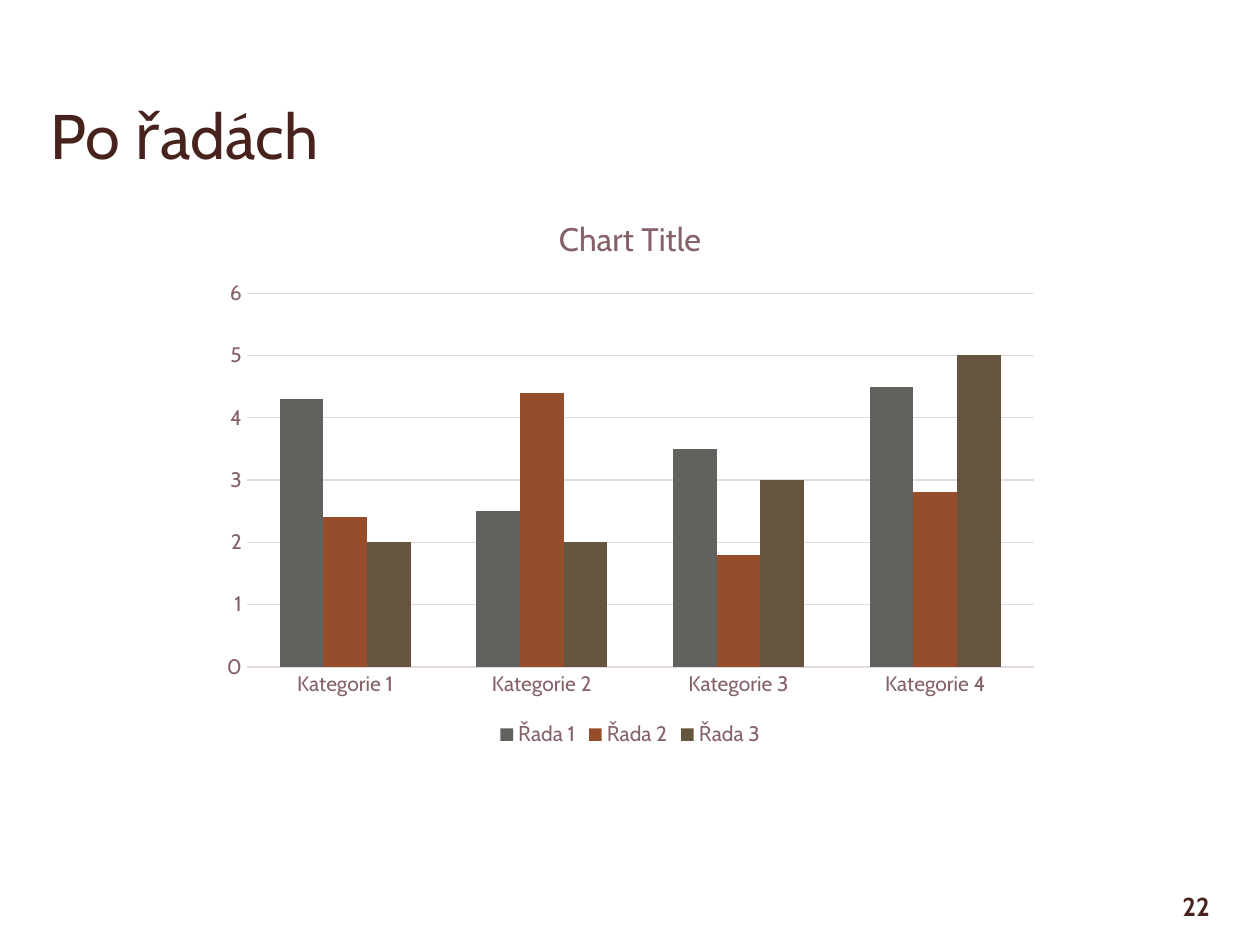
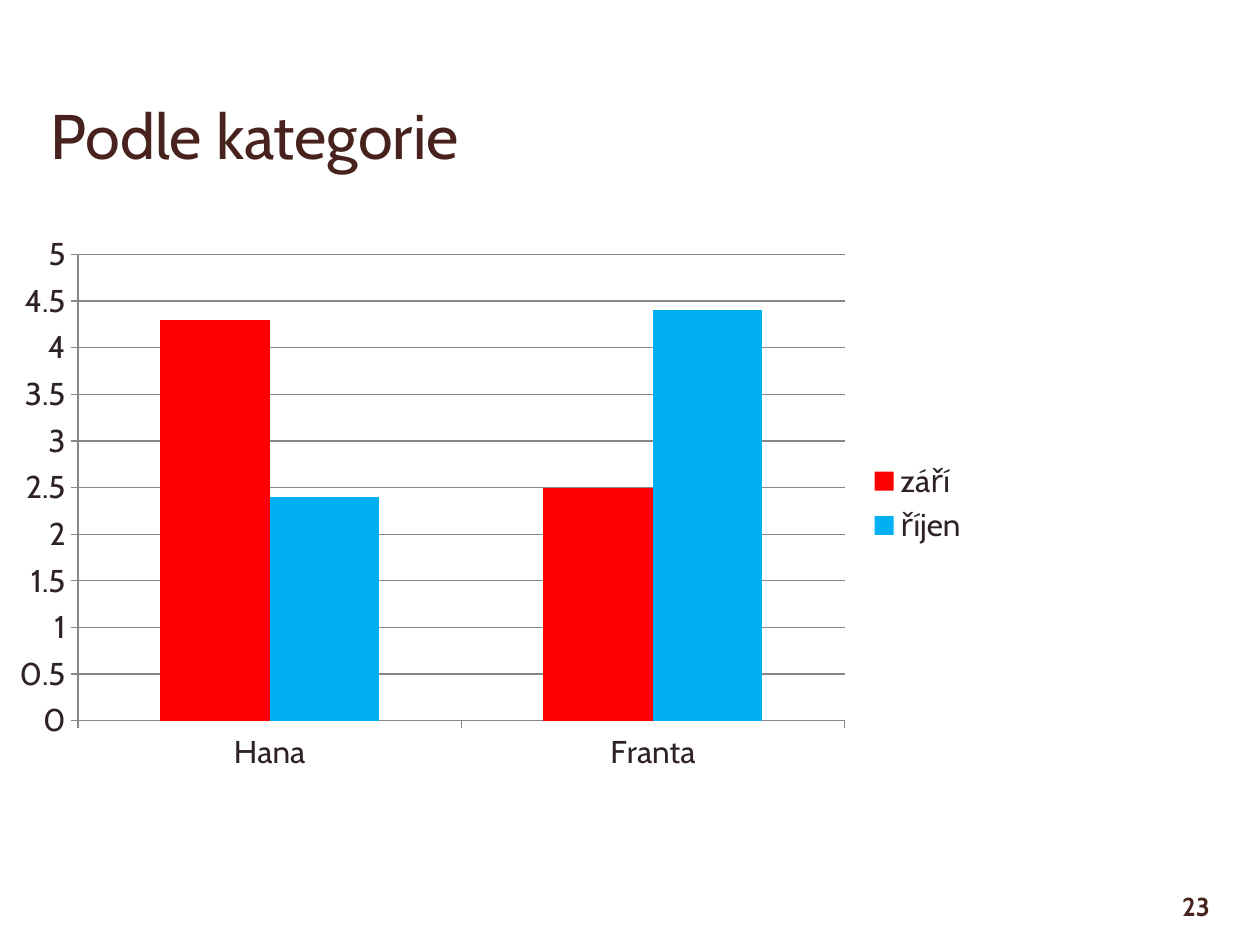
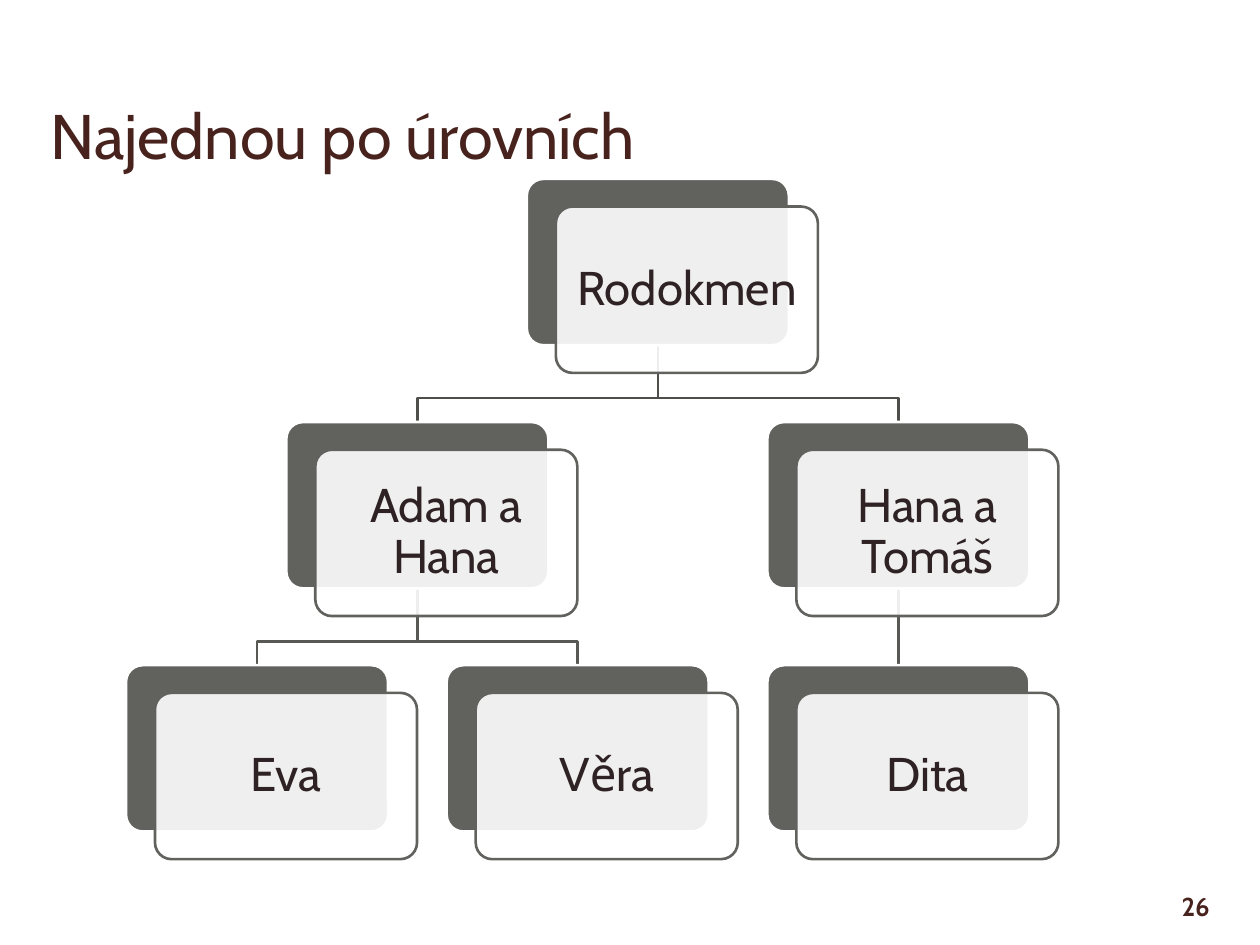
from dataclasses import dataclass
from typing import Optional

from lxml import etree
from pptx import Presentation, util as u
from pptx.chart.data import CategoryChartData
from pptx.dml.color import RGBColor
from pptx.enum import chart as ch, shapes, text
from pptx.oxml.ns import qn

SLIDE_W, SLIDE_H = u.Inches(10), u.Inches(7.5)
FONT = "Cabin"
TITLE_COLOR, INK, MUTED = "48231E", "2E2224", "856268"
GRAY, RUST, OLIVE = "61625E", "964D2C", "66553E"
PALE, AXIS_GRAY, WHITE = "E4DADC", "878787", "FFFFFF"
RED, BLUE = "FF0000", "00B0F0"
BRANCH_COLORS = ("4E4E4B", "585955")  # one for each level of parents

# Family tree, in percent of the slide's width and height
TREE_LEFT, TREE_TOP = 10, 18.93
COLUMN, ROW = 25.45, 25.73
CARD_W, CARD_H = 20.8, 17.6
FRONT_DX, FRONT_DY = 2.3, 2.93
BEND_RISE = 2.53


@dataclass(frozen=True)
class Area:
    """A rectangle in percent of the slide's width and height."""
    left: float
    top: float
    width: float
    height: float

    def emu(self) -> tuple:
        return across(self.left), down(self.top), across(self.width), down(self.height)


@dataclass(frozen=True)
class Series:
    name: str
    values: tuple
    color: str


@dataclass(frozen=True)
class ChartSpec:
    area: Area
    categories: tuple
    series: tuple
    legend_at: ch.XL_LEGEND_POSITION
    text_size: float
    text_color: str
    grid_color: str
    maximum: float
    step: float
    axis_color: Optional[str] = None
    title: Optional[str] = None


@dataclass(frozen=True)
class Person:
    name: str
    children: tuple = ()


@dataclass(frozen=True)
class Card:
    name: str
    left: float
    level: int
    parent_left: Optional[float] = None

    @property
    def top(self) -> float:
        return TREE_TOP + self.level * ROW


TITLE_AREA = Area(3, 3.33, 94, 15.6)
NUMBER_AREA = Area(87.4, 93.73, 9.6, 4.27)

BY_SERIES = ChartSpec(
    Area(16.67, 20.4, 66.7, 59.2),
    tuple(f"Kategorie {n}" for n in range(1, 5)),
    (Series("Řada 1", (4.3, 2.5, 3.5, 4.5), GRAY),
     Series("Řada 2", (2.4, 4.4, 1.8, 2.8), RUST),
     Series("Řada 3", (2, 2, 3, 5), OLIVE)),
    ch.XL_LEGEND_POSITION.BOTTOM, 12, MUTED, PALE, 6, 1, title="Chart Title")
BY_CATEGORY = ChartSpec(
    Area(0, 23.73, 77.9, 59.07),
    ("Hana", "Franta"),
    (Series("září", (4.3, 2.5), RED), Series("říjen", (2.4, 4.4), BLUE)),
    ch.XL_LEGEND_POSITION.RIGHT, 18, INK, AXIS_GRAY, 5, 0.5, axis_color=AXIS_GRAY)
FAMILY = Person("Rodokmen", (
    Person("Adam a Hana", (Person("Eva"), Person("Věra"))),
    Person("Hana a Tomáš", (Person("Dita"),))))


def across(percent: float) -> int:
    return round(SLIDE_W * percent / 100)


def down(percent: float) -> int:
    return round(SLIDE_H * percent / 100)


def rgb(color: str) -> RGBColor:
    return RGBColor.from_string(color)


def style_font(font, size: float, color: str, bold: bool = False) -> None:
    font.name, font.size, font.bold = FONT, u.Pt(size), bold
    font.color.rgb = rgb(color)


def style_line(line, color: Optional[str], width: float) -> None:
    if color is None:
        line.fill.background()
    else:
        line.color.rgb = rgb(color)
        line.width = u.Pt(width)


def write(frame, words: str, size: float, color: str, align, anchor, bold: bool = False):
    frame.text = words
    frame.word_wrap = True
    frame.auto_size = text.MSO_AUTO_SIZE.NONE
    frame.vertical_anchor = anchor
    paragraph = frame.paragraphs[0]
    paragraph.alignment = align
    style_font(paragraph.runs[0].font, size, color, bold)
    return paragraph


def add_slide(prs, title: str, number: int):
    slide = prs.slides.add_slide(prs.slide_layouts.get_by_name("Title Only"))
    heading = slide.shapes.title
    heading.left, heading.top, heading.width, heading.height = TITLE_AREA.emu()
    write(heading.text_frame, title, 36, TITLE_COLOR,
          text.PP_ALIGN.LEFT, text.MSO_ANCHOR.BOTTOM)
    page = slide.shapes.add_textbox(*NUMBER_AREA.emu())
    write(page.text_frame, str(number), 14.8, TITLE_COLOR,
          text.PP_ALIGN.RIGHT, text.MSO_ANCHOR.MIDDLE, bold=True)
    return slide


def add_column_chart(slide, spec: ChartSpec) -> None:
    data = CategoryChartData()
    data.categories = spec.categories
    for series in spec.series:
        data.add_series(series.name, series.values)
    chart = slide.shapes.add_chart(
        ch.XL_CHART_TYPE.COLUMN_CLUSTERED, *spec.area.emu(), data).chart
    style_font(chart.font, spec.text_size, spec.text_color)

    chart.has_title = spec.title is not None
    if spec.title:
        heading = chart.chart_title.text_frame
        heading.text = spec.title
        style_font(heading.paragraphs[0].runs[0].font, 18.6, spec.text_color)

    chart.has_legend = True
    chart.legend.position = spec.legend_at
    chart.legend.include_in_layout = False
    style_font(chart.legend.font, spec.text_size, spec.text_color)

    tick = ch.XL_TICK_MARK.OUTSIDE if spec.axis_color else ch.XL_TICK_MARK.NONE
    for axis in (chart.category_axis, chart.value_axis):
        axis.major_tick_mark, axis.minor_tick_mark = tick, ch.XL_TICK_MARK.NONE
        style_font(axis.tick_labels.font, spec.text_size, spec.text_color)
        style_line(axis.format.line, spec.axis_color, 0.75)
    values = chart.value_axis
    values.minimum_scale, values.maximum_scale = 0, spec.maximum
    values.major_unit = spec.step
    style_line(values.major_gridlines.format.line, spec.grid_color, 0.75)

    plot = chart.plots[0]
    plot.gap_width, plot.overlap, plot.vary_by_categories = 150, 0, False
    for drawn, series in zip(plot.series, spec.series):
        drawn.format.fill.solid()
        drawn.format.fill.fore_color.rgb = rgb(series.color)


def lay_out(person: Person, level: int = 0, first_column: int = 0) -> tuple[list[Card], int]:
    """Centre each parent over its children; return the cards and the next free column."""
    if not person.children:
        return [Card(person.name, TREE_LEFT + first_column * COLUMN, level)], first_column + 1
    branches, column = [], first_column
    for child in person.children:
        cards, column = lay_out(child, level + 1, column)
        branches.append(cards)
    lefts = [cards[0].left for cards in branches]
    left = sum(lefts) / len(lefts)
    placed = [Card(person.name, left, level)]
    for (head, *rest) in branches:
        placed += [Card(head.name, head.left, head.level, left), *rest]
    return placed, column


def add_branch(slide, card: Card) -> None:
    start_x, end_x = (across(left + CARD_W / 2) for left in (card.parent_left, card.left))
    start_y, end_y = down(card.top - ROW + CARD_H), down(card.top)
    if start_x == end_x:
        branch = slide.shapes.add_connector(
            shapes.MSO_CONNECTOR.STRAIGHT, start_x, start_y, end_x, end_y)
        etree.SubElement(branch._element.spPr, qn("a:effectLst"))
    else:
        bend_y = down(card.top - BEND_RISE)
        builder = slide.shapes.build_freeform(start_x, start_y)
        builder.add_line_segments(
            [(start_x, bend_y), (end_x, bend_y), (end_x, end_y)], close=False)
        branch = builder.convert_to_shape()
        branch.fill.background()
        branch.shadow.inherit = False
    style_line(branch.line, BRANCH_COLORS[card.level - 1], 1.5)
    # The line must precede the effect list in the shape's properties.
    properties = branch._element.spPr
    properties.append(properties.find(qn("a:effectLst")))


def add_panel(slide, area: Area, fill: str, outline: str):
    panel = slide.shapes.add_shape(shapes.MSO_SHAPE.ROUNDED_RECTANGLE, *area.emu())
    panel.adjustments[0] = 0.1
    panel.shadow.inherit = False
    panel.fill.solid()
    panel.fill.fore_color.rgb = rgb(fill)
    style_line(panel.line, outline, 1.5)
    return panel


def add_card(slide, card: Card) -> None:
    add_panel(slide, Area(card.left, card.top, CARD_W, CARD_H), GRAY, WHITE)
    front = add_panel(
        slide, Area(card.left + FRONT_DX, card.top + FRONT_DY, CARD_W, CARD_H), WHITE, GRAY)
    fill_color = front._element.spPr.find(f"{qn('a:solidFill')}/{qn('a:srgbClr')}")
    etree.SubElement(fill_color, qn("a:alpha"), val="90000")
    frame = front.text_frame
    frame.margin_left = frame.margin_right = u.Inches(0.11)
    frame.margin_top = frame.margin_bottom = u.Inches(0.11)
    label = write(frame, card.name, 27, INK, text.PP_ALIGN.CENTER, text.MSO_ANCHOR.MIDDLE)
    label.line_spacing = 0.9


def add_family_tree(slide, root: Person) -> None:
    cards, _ = lay_out(root)
    for card in reversed(cards):
        if card.parent_left is not None:
            add_branch(slide, card)
    for card in cards:
        add_card(slide, card)


def main() -> None:
    prs = Presentation()
    prs.slide_width, prs.slide_height = SLIDE_W, SLIDE_H
    add_column_chart(add_slide(prs, "Po řadách", 22), BY_SERIES)
    add_column_chart(add_slide(prs, "Podle kategorie", 23), BY_CATEGORY)
    add_family_tree(add_slide(prs, "Najednou po úrovních", 26), FAMILY)
    prs.save("out.pptx")


if __name__ == "__main__":
    main()
